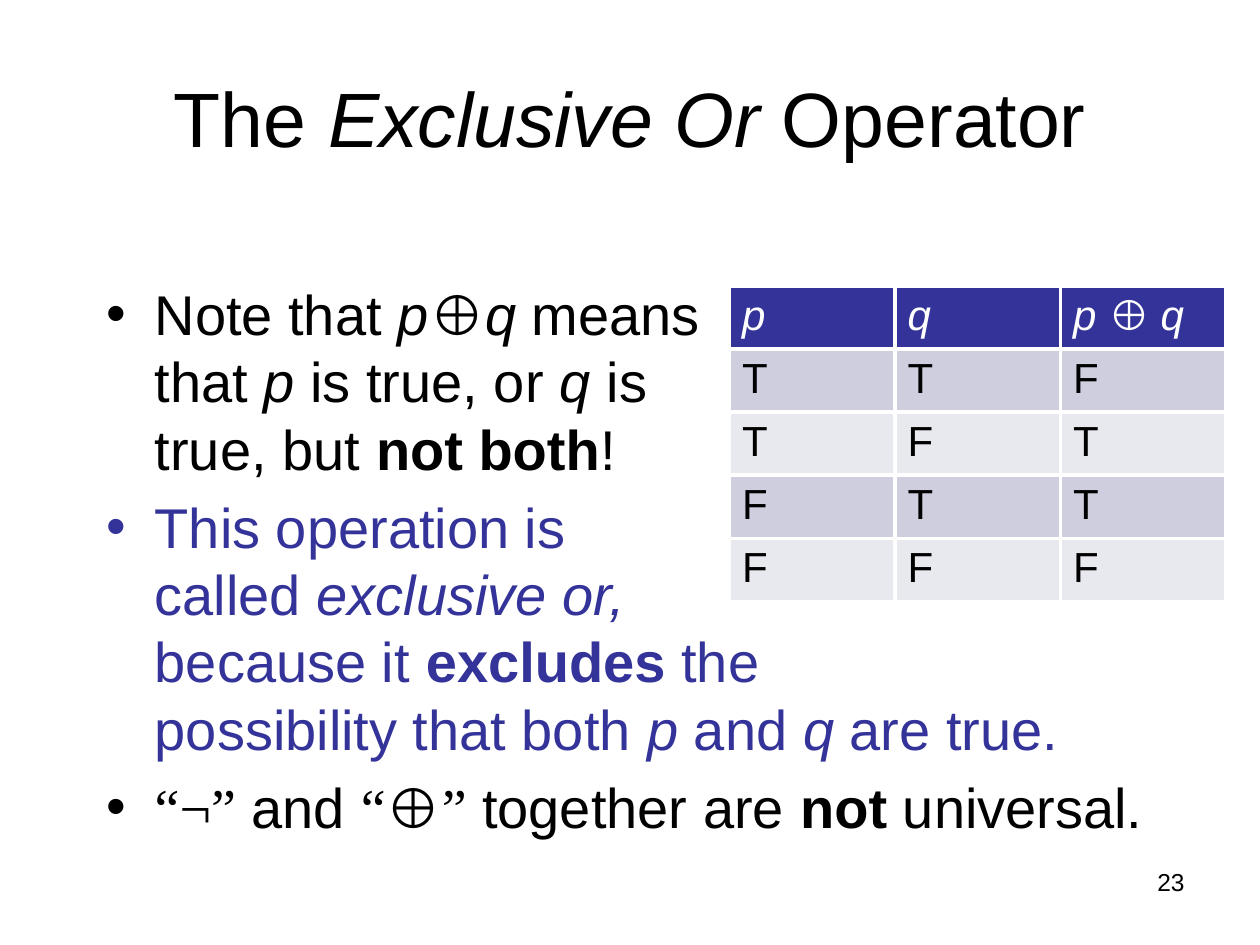
from lxml.etree import SubElement
from pptx import Presentation
from pptx.dml.color import RGBColor
from pptx.enum.text import MSO_ANCHOR, PP_ALIGN
from pptx.oxml.ns import qn
from pptx.util import Inches, Pt

BLACK = RGBColor(0, 0, 0)
WHITE = RGBColor(255, 255, 255)
INDIGO = RGBColor(0x33, 0x33, 0x99)
BANDS = (RGBColor(0xCE, 0xCE, 0xDE), RGBColor(0xE8, 0xE8, 0xEF))

ITALIC = {"italic": True}
BOLD = {"bold": True}
SERIF = {"name": "Times New Roman"}

TITLE = [("The ", {}), ("Exclusive Or", ITALIC), (" Operator", {})]
BULLETS = [
    (BLACK, [("Note that ", {}), ("p", ITALIC), ("⊕", {}), ("q ", ITALIC),
             ("means\nthat ", {}), ("p", ITALIC), (" is true, or ", {}),
             ("q", ITALIC), (" is\ntrue, but ", {}), ("not both", BOLD),
             ("!", {})]),
    (INDIGO, [("This operation is\ncalled ", {}), ("exclusive or,\n", ITALIC),
              ("because it ", {}), ("excludes", BOLD),
              (" the\npossibility that both ", {}), ("p", ITALIC),
              (" and ", {}), ("q", ITALIC), (" are true.", {})]),
    (BLACK, [("“¬”", SERIF), (" and ", {}), ("“", SERIF), ("⊕", {}),
             ("”", SERIF), (" together are ", {}), ("not", BOLD),
             (" universal.", {})]),
]
HEADER = [
    [("p", ITALIC)],
    [("q", ITALIC)],
    [("p ", ITALIC), ("⊕ ", SERIF | BOLD), ("q", ITALIC)],
]
TRUTH_ROWS = ["TTF", "TFT", "FTT", "FFF"]


def add_spans(paragraph, spans, size, color):
    for text, style in spans:
        for index, line in enumerate(text.split("\n")):
            if index:
                paragraph.add_line_break()
            if not line:
                continue
            span = paragraph.add_run()
            span.text = line
            formats = {"name": "Arial", "size": Pt(size)} | style
            for name, value in formats.items():
                setattr(span.font, name, value)
            span.font.color.rgb = color


def add_text_box(page, left, top, width, height, anchor=MSO_ANCHOR.TOP):
    box = page.shapes.add_textbox(
        Inches(left), Inches(top), Inches(width), Inches(height))
    frame = box.text_frame
    frame.word_wrap = True
    frame.vertical_anchor = anchor
    return frame


def add_line(frame, spans, size, alignment):
    paragraph = frame.paragraphs[0]
    paragraph.alignment = alignment
    add_spans(paragraph, spans, size, BLACK)


def add_bullets(frame, bullets):
    for index, (color, spans) in enumerate(bullets):
        paragraph = frame.add_paragraph() if index else frame.paragraphs[0]
        properties = paragraph._p.get_or_add_pPr()
        properties.set("marL", str(Inches(0.38)))
        properties.set("indent", str(Inches(-0.38)))
        SubElement(properties, qn("a:buFont"), typeface="Arial")
        SubElement(properties, qn("a:buChar"), char="•")
        if index:
            paragraph.space_before = Pt(6.4)
        add_spans(paragraph, spans, 32, color)


def set_borders(cell, color, width):
    properties = cell._tc.get_or_add_tcPr()
    for index, side in enumerate(("lnL", "lnR", "lnT", "lnB")):
        line = properties.makeelement(qn(f"a:{side}"), {"w": str(Pt(width))})
        fill = SubElement(line, qn("a:solidFill"))
        SubElement(fill, qn("a:srgbClr"), val=str(color))
        properties.insert(index, line)


def add_truth_table(page):
    rows = [HEADER] + [[[(value, {})] for value in row] for row in TRUTH_ROWS]
    table = page.shapes.add_table(
        len(rows), len(HEADER), Inches(5.79), Inches(2.27),
        Inches(3.94), Inches(2.5)).table
    for row_index, row in enumerate(rows):
        fill = BANDS[(row_index - 1) % 2] if row_index else INDIGO
        color = BLACK if row_index else WHITE
        for column_index, spans in enumerate(row):
            cell = table.cell(row_index, column_index)
            cell.fill.solid()
            cell.fill.fore_color.rgb = fill
            set_borders(cell, WHITE, 2.25)
            add_spans(cell.text_frame.paragraphs[0], spans, 24, color)


def main():
    deck = Presentation()
    deck.slide_width = Inches(10)
    deck.slide_height = Inches(7.5)
    page = deck.slides.add_slide(deck.slide_layouts[6])

    add_bullets(add_text_box(page, 0.75, 2.17, 8.5, 4.67), BULLETS)
    title = add_text_box(page, 0.5, 0.3, 9, 1.25, MSO_ANCHOR.MIDDLE)
    add_line(title, TITLE, 44, PP_ALIGN.CENTER)
    add_truth_table(page)
    number = add_text_box(page, 7.17, 6.83, 2.33, 0.52)
    add_line(number, [("23", {})], 14, PP_ALIGN.RIGHT)

    deck.save("out.pptx")


if __name__ == "__main__":
    main()
